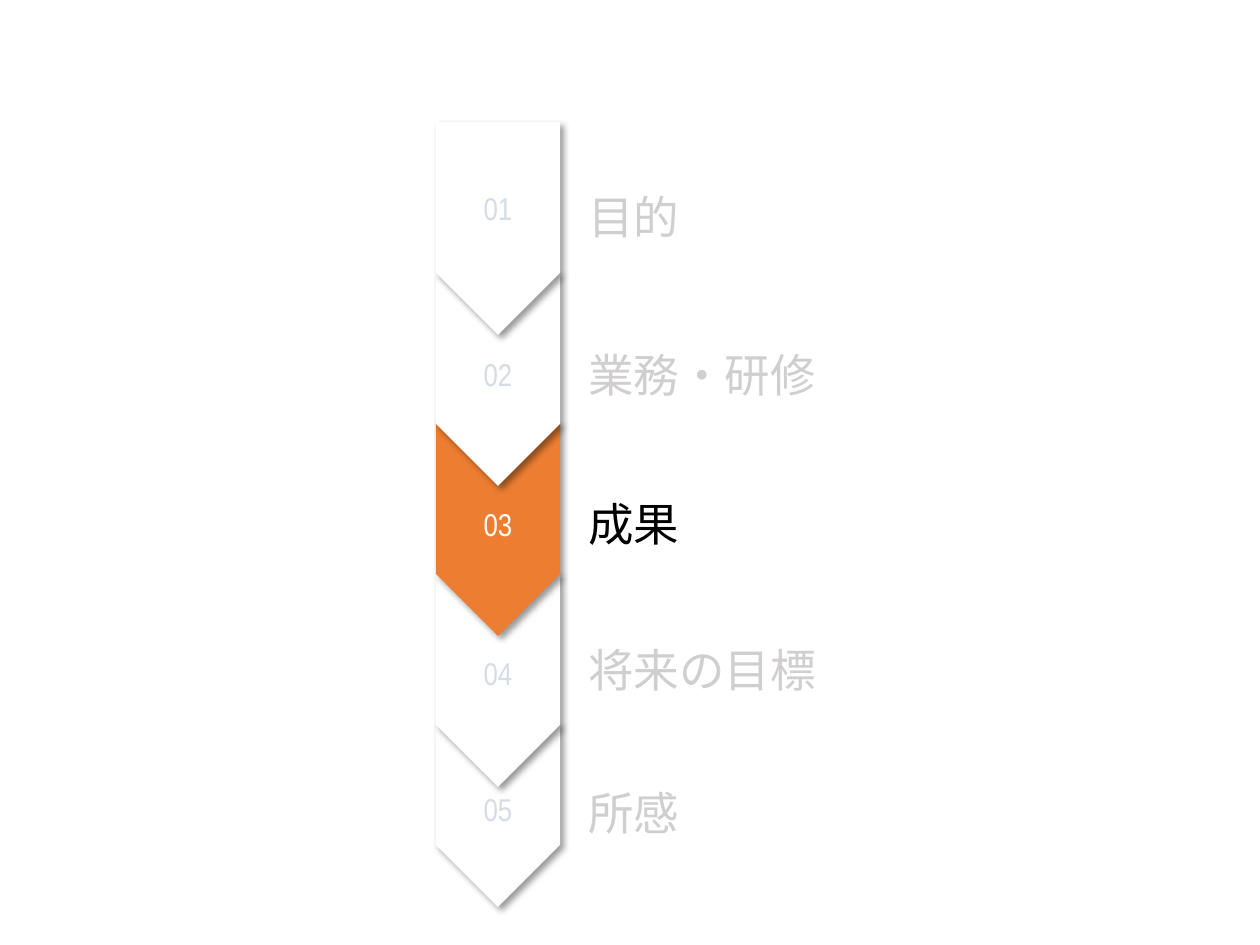
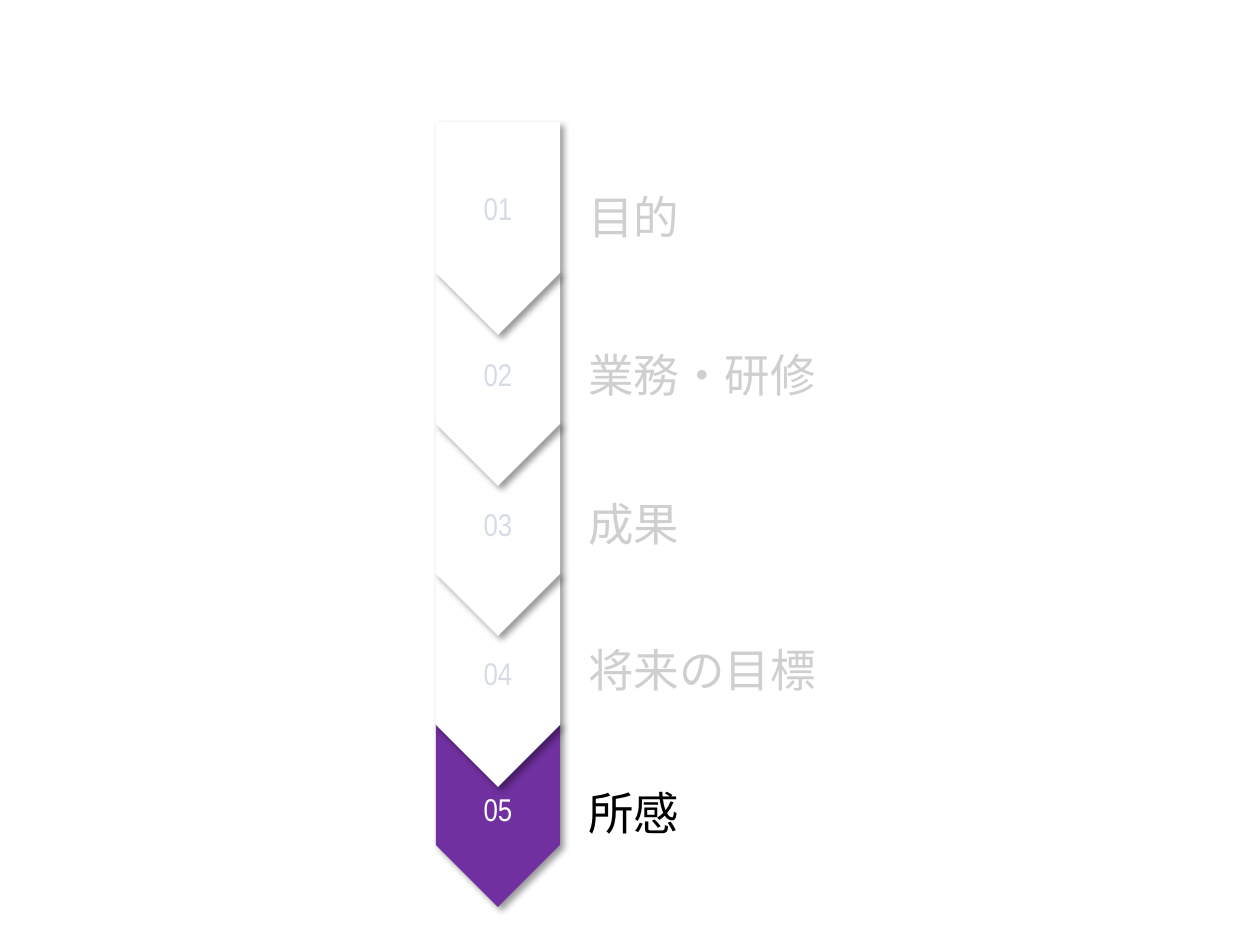
"""Build two agenda slides, each highlighting one step of a chevron column."""
from dataclasses import dataclass

from lxml.etree import SubElement
from pptx import Presentation
from pptx.dml.color import RGBColor
from pptx.enum.shapes import MSO_SHAPE as Shape
from pptx.enum.text import MSO_AUTO_SIZE as AutoSize, PP_ALIGN as Align
from pptx.oxml.ns import qn
from pptx.util import Emu, Pt

EMU_PER_PX = 914400 / 126
PAGE_WIDTH, PAGE_HEIGHT = 1260, 945
COLORS = {
    "white": "FFFFFF",
    "black": "000000",
    "idle_label": "D0CECE",
    "idle_number": "D6DCE5",
    "orange": "ED7D31",
    "purple": "7030A0",
}
LABEL_FONT, NUMBER_FONT = "Roboto", "Arial Narrow"
COLUMN_CENTER, COLUMN_WIDTH = 498, 124
NUMBER_WIDTH, NUMBER_HEIGHT = 76, 63
LABEL_LEFT, LABEL_WIDTH, LABEL_HEIGHT = 576, 301, 68


@dataclass
class Step:
    """One agenda step with its vertical places in px."""
    label: str
    arrow_tip: int
    number_top: int
    label_top: int
    arrow_length: int = 213


STEPS = [
    Step("目的", 335, 183, 183),
    Step("業務・研修", 486, 349, 341),
    Step("成果", 636, 499, 490),
    Step("将来の目標", 787, 648, 636),
    Step("所感", 907, 784, 779, arrow_length=183),
]
HIGHLIGHTS = [(3, "orange"), (5, "purple")]


def px(length):
    """Turn px into EMU."""
    return Emu(round(length * EMU_PER_PX))


def color(name):
    """Look up a named colour."""
    return RGBColor.from_string(COLORS[name])


def add_shadow(shape):
    """Give a shape a soft shadow to the lower right."""
    shape.shadow.inherit = False
    effects = shape._element.spPr.find(qn("a:effectLst"))
    shadow = SubElement(effects, qn("a:outerShdw"), blurRad=str(Pt(4)), dist=str(Pt(3)),
                        dir="2700000", algn="tl", rotWithShape="0")
    tint = SubElement(shadow, qn("a:srgbClr"), val=COLORS["black"])
    SubElement(tint, qn("a:alpha"), val="40000")


def add_arrow(page, step, fill):
    """Draw a pentagon that points down to the tip of its step."""
    left = COLUMN_CENTER - step.arrow_length / 2
    top = step.arrow_tip - (step.arrow_length + COLUMN_WIDTH) / 2
    arrow = page.shapes.add_shape(Shape.PENTAGON, px(left), px(top),
                                  px(step.arrow_length), px(COLUMN_WIDTH))
    arrow.rotation = 90
    arrow.fill.solid()
    arrow.fill.fore_color.rgb = color(fill)
    arrow.line.fill.background()
    add_shadow(arrow)


def add_text(page, text, place, font, size, tint, align=Align.LEFT):
    """Write one line of text in a box."""
    box = page.shapes.add_textbox(*map(px, place))
    frame = box.text_frame
    frame.word_wrap = True
    frame.auto_size = AutoSize.SHAPE_TO_FIT_TEXT
    para = frame.paragraphs[0]
    para.text = text
    para.alignment = align
    para.font.name = font
    para.font.size = Pt(size)
    para.font.color.rgb = color(tint)


def add_agenda(deck, active, accent):
    """Add a slide with the active step in its accent colour."""
    page = deck.slides.add_slide(deck.slide_layouts[6])
    numbered = list(enumerate(STEPS, start=1))
    for number, step in reversed(numbered):
        add_arrow(page, step, accent if number == active else "white")
    for number, step in numbered:
        is_active = number == active
        add_text(page, f"{number:02}",
                 (COLUMN_CENTER - NUMBER_WIDTH / 2, step.number_top, NUMBER_WIDTH, NUMBER_HEIGHT),
                 NUMBER_FONT, 18, "white" if is_active else "idle_number", Align.CENTER)
        add_text(page, step.label, (LABEL_LEFT, step.label_top, LABEL_WIDTH, LABEL_HEIGHT),
                 LABEL_FONT, 26, "black" if is_active else "idle_label")


def main():
    """Build and save the deck."""
    deck = Presentation()
    deck.slide_width, deck.slide_height = px(PAGE_WIDTH), px(PAGE_HEIGHT)
    for active, accent in HIGHLIGHTS:
        add_agenda(deck, active, accent)
    deck.save("out.pptx")


if __name__ == "__main__":
    main()
